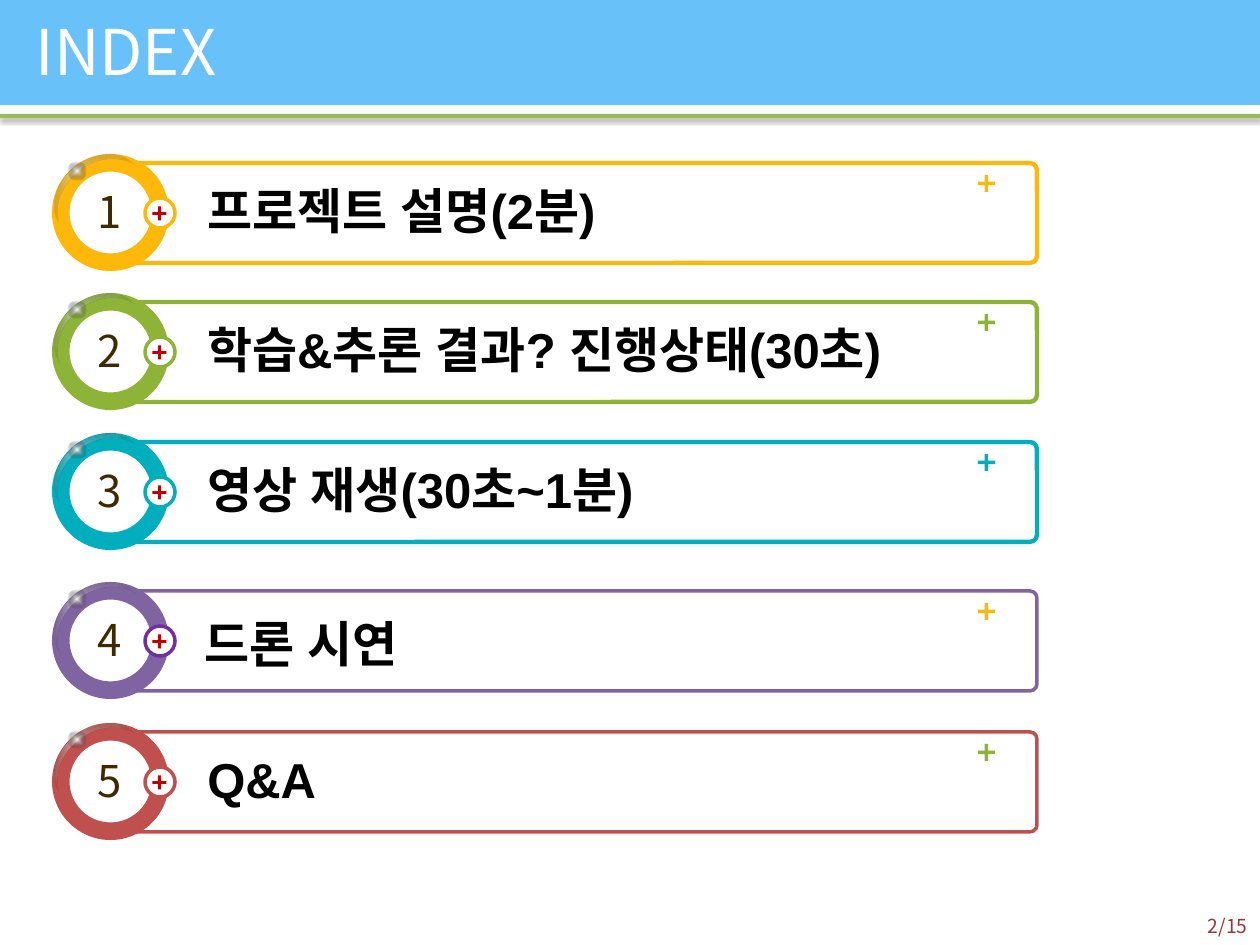
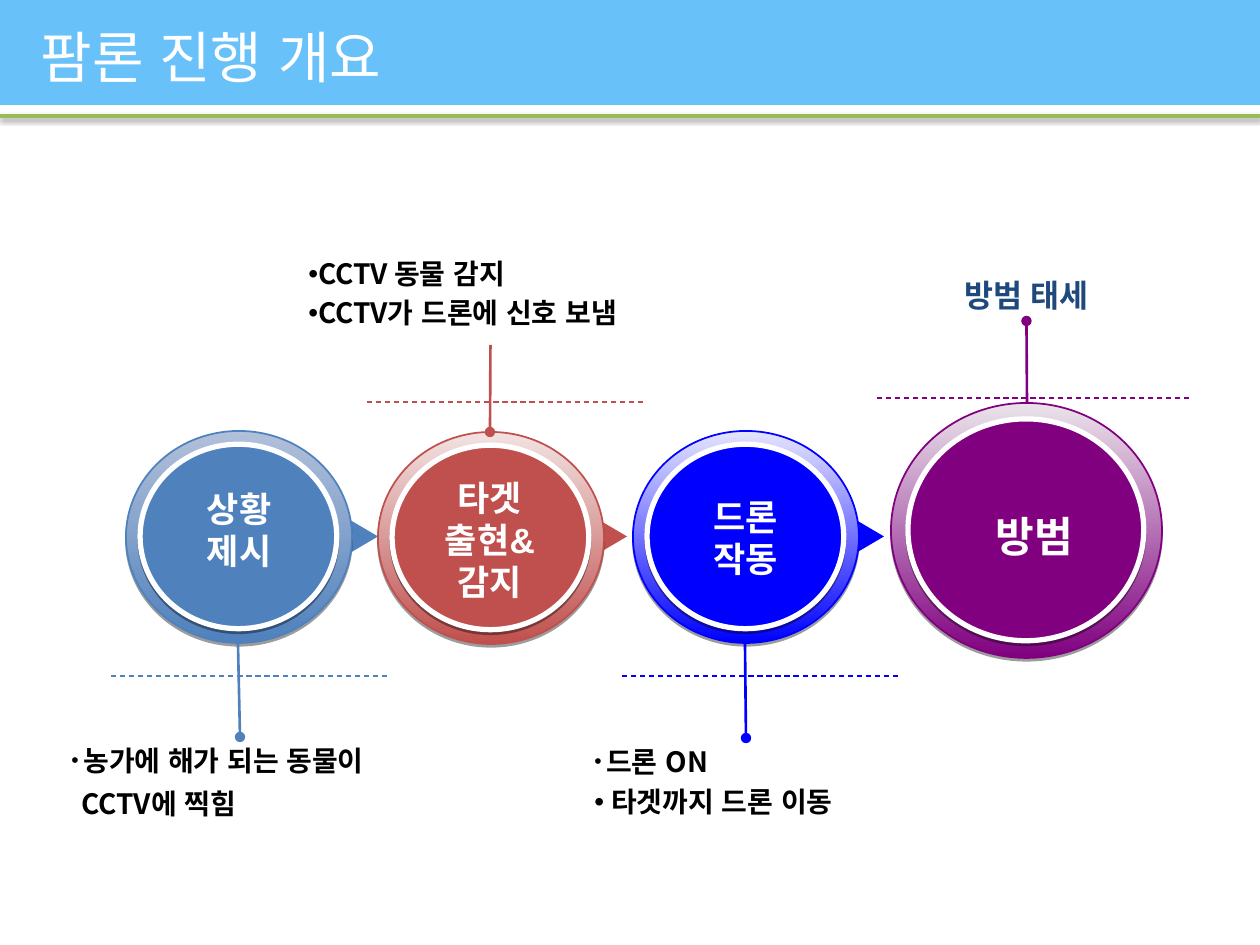
from lxml import etree
from pptx import Presentation
from pptx.dml.color import RGBColor
from pptx.enum.dml import MSO_LINE
from pptx.enum.lang import MSO_LANGUAGE_ID
from pptx.enum.shapes import MSO_CONNECTOR, MSO_SHAPE
from pptx.enum.text import MSO_ANCHOR, MSO_AUTO_SIZE, PP_ALIGN
from pptx.oxml.ns import qn
from pptx.util import Emu, Pt

STRAIGHT = MSO_CONNECTOR.STRAIGHT
DASH = MSO_LINE.DASH
BAR = MSO_SHAPE.ROUNDED_RECTANGLE
RECTANGLE = MSO_SHAPE.RECTANGLE
CIRCLE = MSO_SHAPE.OVAL
RING = MSO_SHAPE.DONUT
PLUS = MSO_SHAPE.MATH_PLUS
MOON = MSO_SHAPE.MOON
TRIANGLE = MSO_SHAPE.ISOSCELES_TRIANGLE
LEFT, CENTER, RIGHT = PP_ALIGN.LEFT, PP_ALIGN.CENTER, PP_ALIGN.RIGHT
TOP, MIDDLE = MSO_ANCHOR.TOP, MSO_ANCHOR.MIDDLE
KOREAN = MSO_LANGUAGE_ID.KOREAN

PX_PER_INCH = 126
PAGE_WIDTH, PAGE_HEIGHT = 1260, 945
TITLE_ONLY = 5
NOTO, ARIAL = "Noto Sans CJK KR", "Arial"

WHITE, BLACK = "FFFFFF", "000000"
SKY, LIME = "68C1F8", "9BBB59"
AMBER, GREEN, TEAL = "FEB80A", "8DB436", "00AEBD"
VIOLET, DEEP_VIOLET, RED = "8064A2", "7030A0", "C0504D"
CRIMSON, BROWN, MAROON = "C00000", "3F2900", "953735"
STEEL, BLUE, PURPLE, NAVY = "4F81BD", "0000FF", "800080", "1F497D"

# Gradient stops: position, colour, opacity in percent
GLOSS = [(10, WHITE, 60), (100, BLACK, 0)]
GLINT = [(0, WHITE, 100), (100, BLACK, 0)]


def px(length):
    return Emu(round(length * 914400 / PX_PER_INCH))


def rgb(code):
    return RGBColor.from_string(code)


def child(parent, tag, **attributes):
    values = {name: str(value) for name, value in attributes.items()}
    return etree.SubElement(parent, qn(tag), values)


def tint(parent, color, opacity):
    child(child(parent, "a:srgbClr", val=color), "a:alpha", val=opacity * 1000)


# ---- Text ----
def set_bullet(para, indent, size=100):
    props = para._p.get_or_add_pPr()
    props.set("marL", str(px(indent)))
    props.set("indent", str(-px(indent)))
    child(props, "a:buSzPct", val=size * 1000)
    child(props, "a:buFont", typeface=ARIAL)
    child(props, "a:buChar", char="•")


def write(frame, text, *, size, color, font=NOTO, bold=False, align=LEFT, anchor=TOP,
          wrap=True, bullets=(), before=0, spacing=None):
    """Each line of text becomes one paragraph; bullets holds (indent, size) pairs."""
    frame.word_wrap = wrap
    frame.auto_size = MSO_AUTO_SIZE.NONE
    frame.vertical_anchor = anchor
    for index, line in enumerate(text.split("\n")):
        para = frame.add_paragraph() if index else frame.paragraphs[0]
        para.alignment = align
        if index and before:
            para.space_before = Pt(before)
        if spacing:
            para.line_spacing = spacing
        if bullets:
            set_bullet(para, *bullets[index])
        span = para.add_run()
        span.text = line
        span.font.size = Pt(size)
        span.font.bold = bold
        span.font.name = font
        span.font.language_id = KOREAN
        span.font.color.rgb = rgb(color)
        child(span.font._element, "a:ea", typeface=font)


def add_text(shapes, area, text, **style):
    box = shapes.add_textbox(*map(px, area))
    write(box.text_frame, text, **style)
    return box


# ---- Shapes and lines ----
def add_shadow(item, blur):
    props = item.element.spPr
    for old in props.findall(qn("a:effectLst")):
        props.remove(old)
    shadow = child(child(props, "a:effectLst"), "a:outerShdw", blurRad=Pt(blur),
                   dist=Pt(1.6), dir=5400000, rotWithShape=0)
    tint(shadow, BLACK, 38)


def set_gradient(shape, stops, radial):
    shape.fill.background()
    empty = shape.element.spPr.find(qn("a:noFill"))
    gradient = etree.Element(qn("a:gradFill"), rotWithShape="1")
    stop_list = child(gradient, "a:gsLst")
    for position, color, opacity in stops:
        tint(child(stop_list, "a:gs", pos=position * 1000), color, opacity)
    if radial:
        focus = child(gradient, "a:path", path="shape")
        child(focus, "a:fillToRect", l=50000, t=50000, r=50000, b=50000)
    else:
        child(gradient, "a:lin", ang=5400000, scaled=0)
    empty.getparent().replace(empty, gradient)


def add_shape(shapes, kind, area, fill=None, *, stops=None, radial=False, line=None,
              width=1, adjust=None, turn=0, shadow=False):
    shape = shapes.add_shape(kind, *map(px, area))
    shape.shadow.inherit = False
    shape.rotation = turn
    if adjust is not None:
        shape.adjustments[0] = adjust
    if stops:
        set_gradient(shape, stops, radial)
    else:
        shape.fill.solid()
        shape.fill.fore_color.rgb = rgb(fill)
    if line:
        shape.line.color.rgb = rgb(line)
        shape.line.width = Pt(width)
    else:
        shape.line.fill.background()
    if shadow:
        add_shadow(shape, 0)
    return shape


def add_line(shapes, start, end, color, width, *, dash=None, dot=False):
    line = shapes.add_connector(STRAIGHT, *map(px, start + end))
    line.line.color.rgb = rgb(color)
    line.line.width = Pt(width)
    if dash:
        line.line.dash_style = dash
    if dot:
        child(line.line._get_or_add_ln(), "a:tailEnd", type="oval")
    child(line.element.spPr, "a:effectLst")
    return line


# ---- Shared page frame ----
def add_page(deck, title, area, size):
    page = deck.slides.add_slide(deck.slide_layouts[TITLE_ONLY])
    rule = add_line(page.shapes, (0, 116), (PAGE_WIDTH, 116), LIME, 2)
    add_shadow(rule, 3.1)
    add_shape(page.shapes, RECTANGLE, (0, 0, PAGE_WIDTH, 105), SKY)
    heading = page.shapes.title
    heading.left, heading.top, heading.width, heading.height = map(px, area)
    write(heading.text_frame, title, size=size, color=WHITE)
    heading.element.getparent().append(heading.element)  # in front of the band
    return page


# ---- Index ----
def add_index_row(page, number, top, text, color, plus, ring, width, text_at):
    shapes = page.shapes
    add_shape(shapes, BAR, (106, top, 931, 100), WHITE, line=color, width=width, adjust=0.07)
    add_shape(shapes, PLUS, (975, top + 9, 23, 23), plus, adjust=0.15)

    badge = shapes.add_group_shape().shapes
    add_shape(badge, CIRCLE, (58, top - 3, 106, 106), WHITE)
    add_shape(badge, RING, (52, top - 9, 117, 117), color, adjust=0.15)
    add_shape(badge, CIRCLE, (145, top + 35, 30, 30), WHITE, line=ring, width=2)
    add_shape(badge, PLUS, (150, top + 41, 19, 19), CRIMSON, adjust=0.15)
    add_shape(badge, MOON, (68, top - 29, 39, 96), stops=GLOSS, radial=True,
              adjust=0.15, turn=52.8)
    add_shape(badge, CIRCLE, (68, top - 1, 18, 18), stops=GLINT, radial=True)

    add_text(shapes, (83, top + 16, 53, 66), str(number), size=25, color=BROWN,
             align=CENTER, wrap=False)
    left, drop = text_at
    add_text(shapes, (left, top + drop, 842, 72), text, size=28, color=BLACK,
             font=ARIAL, bold=True)


def build_index(deck):
    page = add_page(deck, "INDEX", (23, 6, 556, 89), 36)
    # top, text, colour, plus, small ring, line width, text offset
    rows = [
        (163, "프로젝트 설명(2분)", AMBER, AMBER, AMBER, 2.5, (195, 11)),
        (302, "학습&추론 결과? 진행상태(30초)", GREEN, GREEN, GREEN, 2.5, (195, 11)),
        (442, "영상 재생(30초~1분)", TEAL, TEAL, TEAL, 2.5, (195, 11)),
        (591, "드론 시연", VIOLET, AMBER, DEEP_VIOLET, 2, (192, 16)),
        (732, "Q&A", RED, GREEN, RED, 2, (195, 11)),
    ]
    for number, row in enumerate(rows, 1):
        add_index_row(page, number, *row)
    add_text(page.shapes, (1185, 908, 75, 35), "2/15", size=11, color=MAROON,
             align=RIGHT, anchor=MIDDLE)


# ---- Overview ----
def add_orb(page, area, color, pale, text, text_area, size):
    left, top, width, height = area
    inner = (left + width / 16, top + height / 16, width * 0.87, height * 0.87)
    orb = page.shapes.add_group_shape().shapes
    add_shape(orb, CIRCLE, area, stops=[(0, pale, 100), (100, color, 100)],
              line=color, shadow=True)
    add_shape(orb, CIRCLE, inner, color, line=WHITE, width=3, shadow=True)
    add_text(page.shapes, text_area, text, size=size, color=WHITE, font=ARIAL,
             bold=True, align=CENTER)


def add_callout(page, color, dashes, stem, note, side, note_is_end=True):
    start, end = stem
    left, right, height = dashes
    add_line(page.shapes, (left, height), (right, height), color, 0.75, dash=DASH)
    line = add_line(page.shapes, start, end, color, 1.5, dot=True)
    join = line.end_connect if note_is_end else line.begin_connect
    join(note, side)


def build_overview(deck):
    page = add_page(deck, "팜론 진행 개요", (28, 16, 645, 81), 32)

    # Arrows between the steps
    for left, color in ((329, STEEL), (578, RED), (835, BLUE)):
        add_shape(page.shapes, TRIANGLE, (left, 514, 53, 45), color, turn=90)

    # Steps
    steps = [
        ((126, 431, 226, 212), STEEL, "B2C0DA", "상황\n제시", (155, 481, 168, 97), 20),
        ((633, 431, 226, 212), BLUE, "E4E4FF", "드론\n작동", (662, 489, 168, 97), 20),
        ((378, 432, 226, 212), RED, "F1E3E2", "타겟\n출현&\n감지", (406, 470, 168, 140), 20),
        ((891, 403, 271, 255), PURPLE, "EAE4EA", "방범", (912, 504, 244, 63), 24),
    ]
    for step in steps:
        add_orb(page, *step)

    # Notes
    body = dict(size=16, color=BLACK, bold=True)
    farm = add_text(page.shapes, (59, 737, 362, 47), "농가에 해가 되는 동물이",
                    bullets=[(12, 75)], **body)
    add_text(page.shapes, (69, 780, 362, 47), "CCTV에 찍힘", **body)
    drone = add_text(page.shapes, (582, 738, 328, 97), "드론 ON\n타겟까지 드론 이동",
                     bullets=[(12, 75), (17, 100)], before=4, **body)
    signal = add_text(page.shapes, (296, 254, 389, 91),
                      "CCTV 동물 감지\nCCTV가 드론에 신호 보냄",
                      bullets=[(9, 100)] * 2, before=5, spacing=0.9, **body)
    guard = add_text(page.shapes, (856, 270, 341, 51), "방범 태세", size=18, color=NAVY,
                     bold=True, align=CENTER)

    # Stems from the steps to their notes
    add_callout(page, STEEL, (111, 388, 676), ((238, 643), (239, 737)), farm, 0)
    add_callout(page, BLUE, (622, 899, 676), ((745, 643), (746, 738)), drone, 0)
    add_callout(page, RED, (367, 644, 402), ((490, 345), (490, 432)), signal, 2,
                note_is_end=False)
    add_callout(page, PURPLE, (877, 1191, 398), ((1027, 403), (1027, 321)), guard, 2)


def main():
    deck = Presentation()
    deck.slide_width, deck.slide_height = px(PAGE_WIDTH), px(PAGE_HEIGHT)
    build_index(deck)
    build_overview(deck)
    deck.save("out.pptx")


if __name__ == "__main__":
    main()
